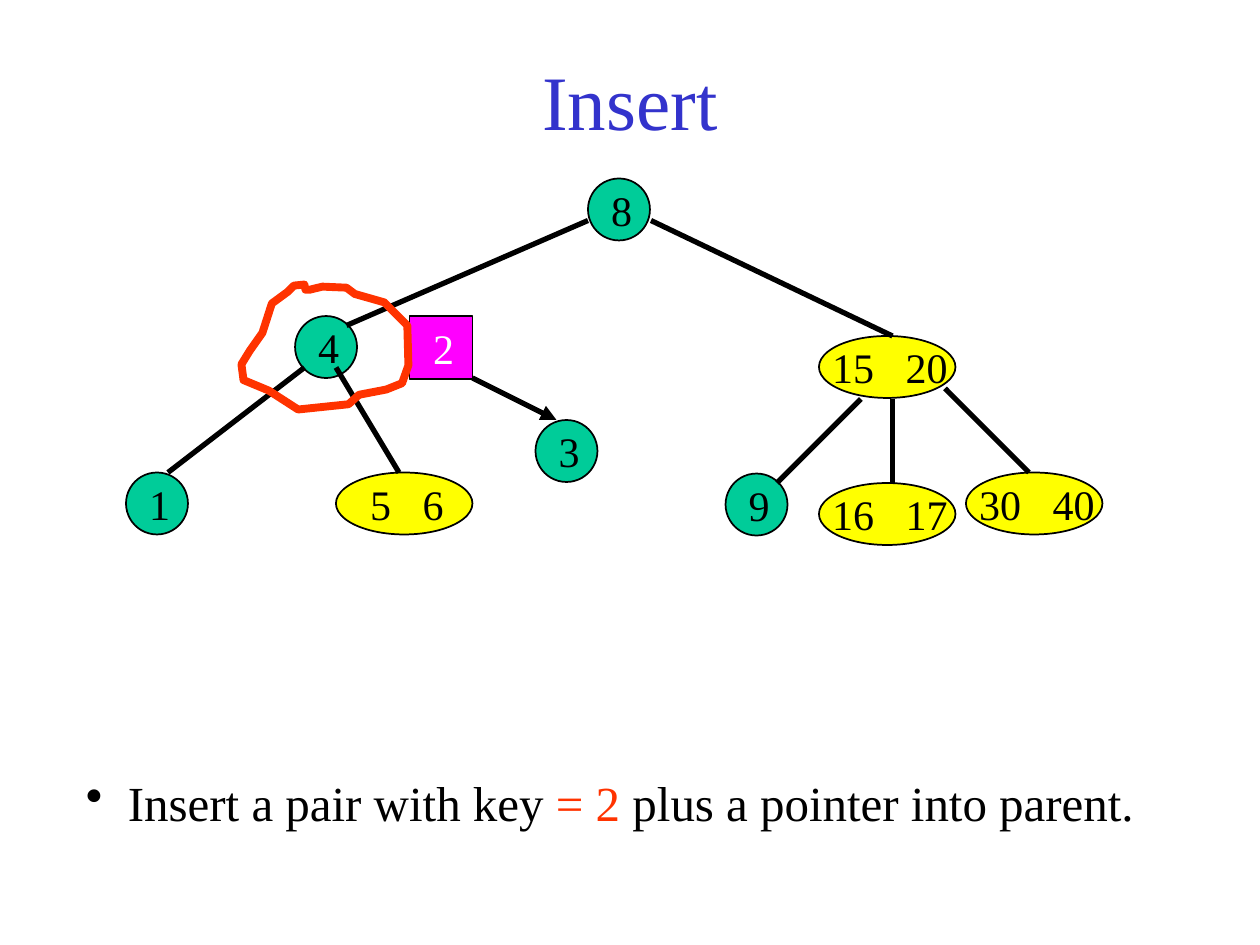
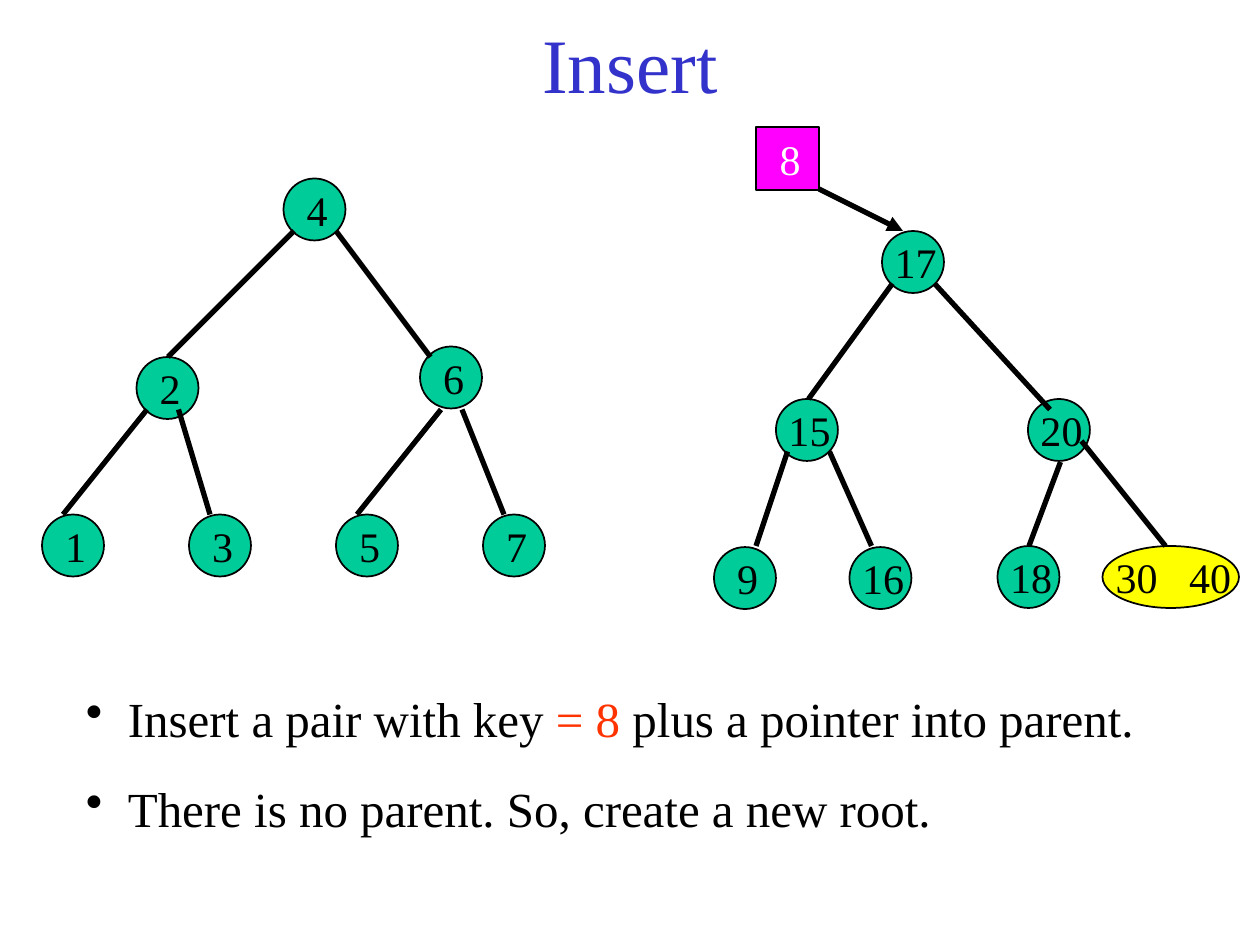
from dataclasses import dataclass

from lxml.etree import SubElement
from pptx import Presentation
from pptx.dml.color import RGBColor as Rgb
from pptx.enum.shapes import MSO_CONNECTOR as Link, MSO_SHAPE as Kind
from pptx.enum.text import MSO_ANCHOR as Anchor, PP_ALIGN as Align
from pptx.oxml.ns import qn
from pptx.util import Pt

SCALE = 7620


def px(n):
    return n * SCALE


@dataclass(frozen=True)
class Theme:
    font: str = "Times New Roman"
    title: str = "3333CC"
    ink: str = "000000"
    paper: str = "FFFFFF"
    single: str = "00CC99"
    double: str = "FFFF00"
    moved: str = "FF00FF"
    accent: str = "FF3300"
    head: int = 44
    body: int = 28
    key: int = 24
    gap: int = 12
    thin: float = 1
    thick: float = 3
    marker: float = 4.5


class Deck:
    def __init__(self, theme):
        self.theme = theme
        self.show = Presentation()
        self.show.slide_width, self.show.slide_height = px(1200), px(900)
        self.slide = None

    def run(self, para, text, size, color):
        run = para.add_run()
        run.text = text
        font = run.font
        font.name, font.size = self.theme.font, Pt(size)
        font.color.rgb = Rgb.from_string(color)
        return run

    def stroke(self, line, color, width):
        line.color.rgb = Rgb.from_string(color)
        line.width = Pt(width)

    def page(self, title, top, high):
        self.slide = self.show.slides.add_slide(self.show.slide_layouts[5])
        box = self.slide.shapes.title
        box.left, box.top, box.width, box.height = map(px, (90, top, 1020, high))
        frame = box.text_frame
        frame.vertical_anchor = Anchor.MIDDLE
        para = frame.paragraphs[0]
        para.alignment = Align.CENTER
        self.run(para, title, self.theme.head, self.theme.title)

    def shape(self, kind, x, y, wide, high, fill, keys, color):
        node = self.slide.shapes.add_shape(kind, *map(px, (x, y, wide, high)))
        node.shadow.inherit = False
        node.fill.solid()
        node.fill.fore_color.rgb = Rgb.from_string(fill)
        self.stroke(node.line, self.theme.ink, self.theme.thin)
        frame = node.text_frame
        frame.word_wrap = False
        frame.vertical_anchor = Anchor.MIDDLE
        frame.margin_left = px(5)
        frame.margin_right = frame.margin_top = frame.margin_bottom = 0
        para = frame.paragraphs[0]
        para.alignment = Align.CENTER
        for spot, key in enumerate(keys):
            if spot:
                space = self.run(para, " ", self.theme.key, color)
                space.font._element.set("spc", str(self.theme.gap * 100))
            self.run(para, key, self.theme.key, color)

    def node(self, x, y, *keys):
        wide, fill = (59, self.theme.single) if len(keys) == 1 else (130, self.theme.double)
        self.shape(Kind.OVAL, x, y, wide, 59, fill, keys, self.theme.ink)

    def pair(self, x, y, key):
        self.shape(Kind.RECTANGLE, x, y, 60, 60, self.theme.moved, [key], self.theme.paper)

    def edge(self, x1, y1, x2, y2, arrow=False):
        line = self.slide.shapes.add_connector(Link.STRAIGHT, *map(px, (x1, y1, x2, y2)))
        self.stroke(line.line, self.theme.ink, self.theme.thick)
        if arrow:
            SubElement(line.line._get_or_add_ln(), qn("a:tailEnd"), type="triangle")
        SubElement(line._element.spPr, qn("a:effectLst"))

    def tree(self, nodes, edges):
        for node in nodes:
            self.node(*node)
        for edge in edges:
            self.edge(*edge)

    def loop(self, first, *rest):
        pen = self.slide.shapes.build_freeform(*first, scale=SCALE)
        pen.add_line_segments(rest, close=True)
        ring = pen.convert_to_shape()
        ring.shadow.inherit = False
        ring.fill.background()
        self.stroke(ring.line, self.theme.accent, self.theme.marker)

    def notes(self, top, high, *items):
        box = self.slide.shapes.add_textbox(*map(px, (70, top, 1060, high)))
        frame = box.text_frame
        frame.word_wrap = True
        for spot, item in enumerate(items):
            para = frame.add_paragraph() if spot else frame.paragraphs[0]
            props = para._p.get_or_add_pPr()
            props.set("marL", str(px(40)))
            props.set("indent", str(px(-40)))
            tint = SubElement(props, qn("a:buClr"))
            SubElement(tint, qn("a:srgbClr"), val=self.theme.ink)
            SubElement(props, qn("a:buChar"), char="•")
            if spot:
                para.space_before = Pt(17.5)
            for text, color in item:
                self.run(para, text, self.theme.body, color)

    def insert(self, key):
        ink = self.theme.ink
        return [
            ("Insert a pair with key ", ink),
            (f"= {key} ", self.theme.accent),
            ("plus a pointer into parent.", ink),
        ]


def split(deck):
    deck.page("Insert", 20, 150)
    deck.tree(
        [
            (560, 170, "8"),
            (281, 301, "4"),
            (780, 320, "15", "20"),
            (120, 450, "1"),
            (320, 450, "5", "6"),
            (510, 400, "3"),
            (691, 451, "9"),
            (780, 460, "16", "17"),
            (920, 450, "30", "40"),
        ],
        [
            (560, 210, 330, 310),
            (620, 210, 850, 320),
            (290, 350, 160, 450),
            (320, 350, 380, 450),
            (820, 380, 740, 460),
            (850, 380, 850, 460),
            (900, 370, 980, 450),
        ],
    )
    deck.pair(390, 301, "2")
    deck.edge(450, 360, 530, 400, arrow=True)
    deck.notes(730, 68, deck.insert(2))
    deck.loop(
        (290, 271), (280, 272), (274, 278), (259, 289), (250, 317), (238, 334),
        (230, 347), (232, 362), (256, 372), (284, 390), (332, 385), (342, 376),
        (368, 371), (383, 365), (389, 348), (388, 310), (366, 288), (338, 280),
        (330, 274), (307, 273), (295, 276), (291, 276),
    )


def root(deck):
    deck.page("Insert", 0, 120)
    leaves = [(40 + 140 * n, 490, key) for n, key in enumerate("1357")]
    deck.tree(
        leaves
        + [
            (270, 170, "4"),
            (130, 340, "2"),
            (400, 330, "6"),
            (840, 220, "17"),
            (739, 380, "15"),
            (979, 380, "20"),
            (680, 521, "9"),
            (809, 521, "16"),
            (950, 520, "18"),
            (1050, 520, "30", "40"),
        ],
        [
            (280, 220, 160, 340),
            (320, 220, 410, 340),
            (140, 390, 60, 490),
            (170, 390, 200, 490),
            (420, 390, 340, 490),
            (440, 390, 480, 490),
            (850, 270, 770, 380),
            (890, 270, 1000, 390),
            (750, 430, 720, 520),
            (790, 430, 830, 520),
            (1010, 440, 980, 520),
            (1030, 420, 1110, 520),
        ],
    )
    deck.pair(720, 121, "8")
    deck.edge(780, 180, 860, 220, arrow=True)
    last = [("There is no parent. So, create a new root.", deck.theme.ink)]
    deck.notes(650, 154, deck.insert(8), last)


def main():
    deck = Deck(Theme())
    split(deck)
    root(deck)
    deck.show.save("out.pptx")


if __name__ == "__main__":
    main()
